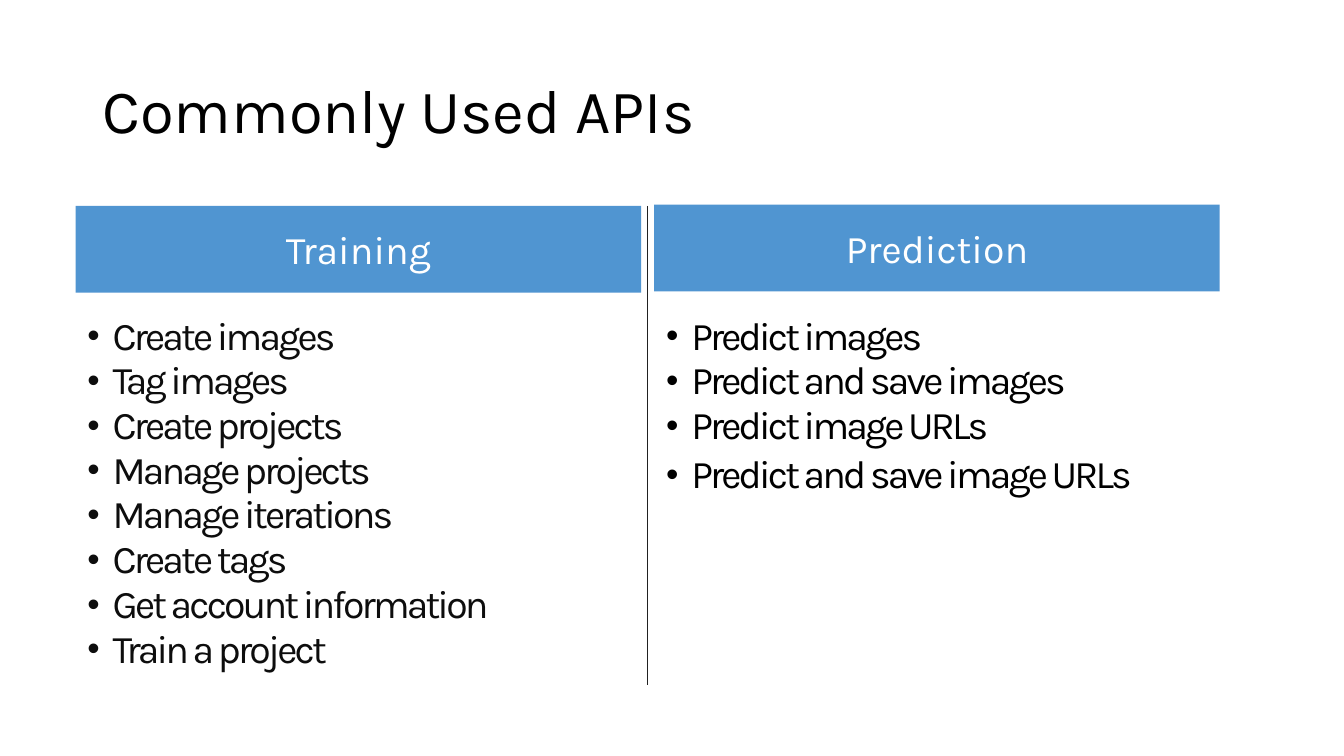
import pptx
import pptx.dml.color
import pptx.enum.shapes
import pptx.enum.text
import pptx.oxml.ns
import pptx.util
from lxml import etree

Pt = pptx.util.Pt
ALIGN = pptx.enum.text.PP_ALIGN
MIDDLE = pptx.enum.text.MSO_ANCHOR.MIDDLE
qn = pptx.oxml.ns.qn


def color(hex_string):
    return pptx.dml.color.RGBColor.from_string(hex_string)


def style(para, size, hex_string, alignment):
    para.alignment = alignment
    para.font.name = "Karla"
    para.font.size = Pt(size)
    para.font.color.rgb = color(hex_string)


deck = pptx.Presentation()
deck.slide_width = Pt(960)
deck.slide_height = Pt(540)
slide = deck.slides.add_slide(deck.slide_layouts[5])

title = slide.shapes.title
title.left, title.top, title.width, title.height = Pt(66), Pt(28.75), Pt(828), Pt(104.4)
title.text_frame.text = "Commonly Used APIs"
title.text_frame.vertical_anchor = MIDDLE
title.text_frame.auto_size = pptx.enum.text.MSO_AUTO_SIZE.NONE
title.text_frame.paragraphs[0].line_spacing = 0.9
style(title.text_frame.paragraphs[0], 44, "000000", ALIGN.LEFT)

# Heading, heading left and top, list left and height, list color, items
columns = [
    ("Training", 54, 147, 55.4, 293, "0D0D0D", [
        "Create images", "Tag images", "Create projects", "Manage projects",
        "Manage iterations", "Create tags", "Get account information", "Train a project",
    ]),
    ("Prediction", 467.3, 146.2, 468.7, 205.2, "000000", [
        "Predict images", "Predict and save images", "Predict image URLs",
        "Predict and save image URLs",
    ]),
]

for heading, left, top, list_left, list_height, list_color, items in columns:
    banner = slide.shapes.add_shape(
        pptx.enum.shapes.MSO_SHAPE.RECTANGLE, Pt(left), Pt(top), Pt(403.9), Pt(62))
    banner.shadow.inherit = False
    banner.fill.solid()
    banner.fill.fore_color.rgb = color("5095D1")
    banner.line.fill.background()
    banner.text_frame.text = heading
    banner.text_frame.vertical_anchor = MIDDLE
    style(banner.text_frame.paragraphs[0], 28, "FFFFFF", ALIGN.CENTER)

    box = slide.shapes.add_textbox(Pt(list_left), Pt(221), Pt(402), Pt(list_height))
    box.text_frame.word_wrap = True
    box.text_frame.text = "\n".join(items)
    for para in box.text_frame.paragraphs:
        para.line_spacing = 0.95
        properties = para._p.get_or_add_pPr()
        properties.set("marL", str(Pt(18)))
        properties.set("indent", str(-Pt(18)))
        etree.SubElement(properties, qn("a:buSzPct")).set("val", "90000")
        etree.SubElement(properties, qn("a:buFont")).set("typeface", "Arial")
        etree.SubElement(properties, qn("a:buChar")).set("char", "•")
        style(para, 28, list_color, ALIGN.LEFT)
        properties.find(qn("a:defRPr")).set("spc", "-200")

# The last prediction item sits slightly lower
para.space_before = Pt(3)

divider = slide.shapes.add_connector(
    pptx.enum.shapes.MSO_CONNECTOR.STRAIGHT, Pt(462.2), Pt(147), Pt(462.2), Pt(489))
divider.line.color.rgb = color("212121")
divider.line.width = Pt(0.5)
etree.SubElement(divider._element.spPr, qn("a:effectLst"))

deck.save("out.pptx")
